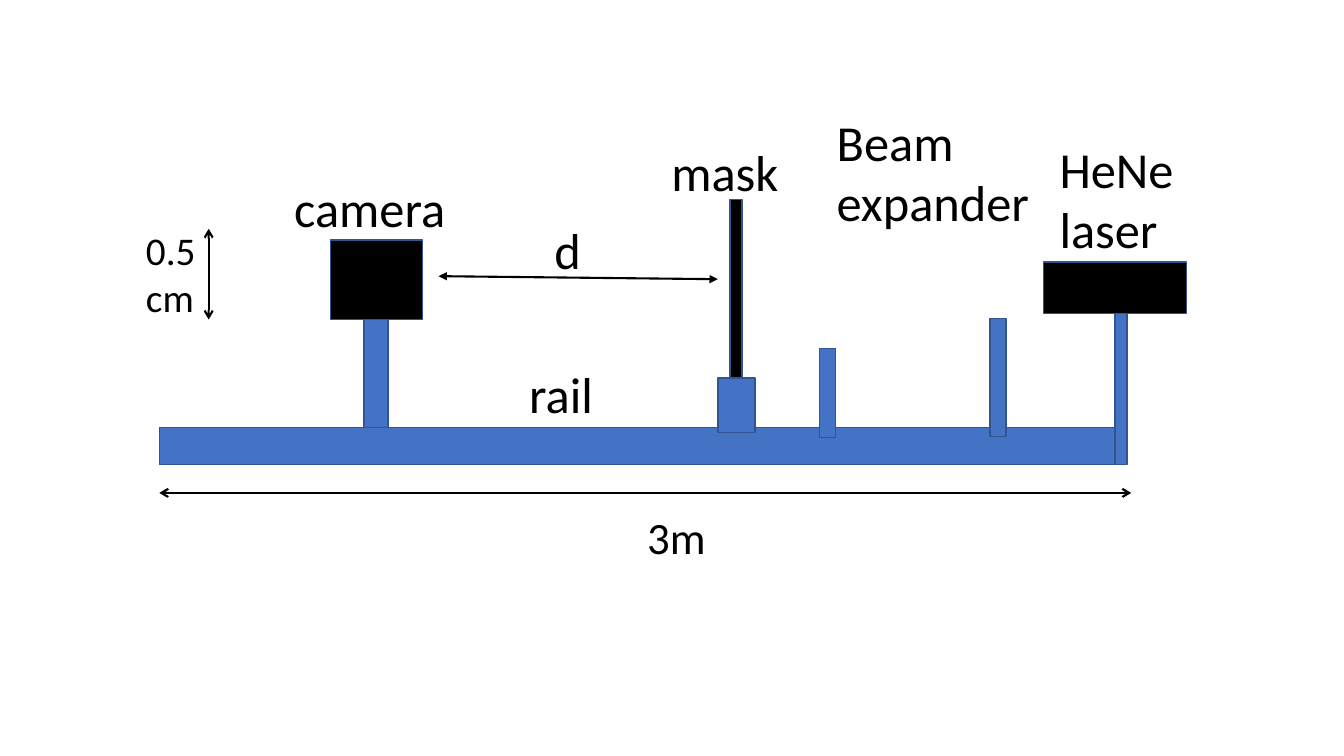
from lxml import etree
from pptx import Presentation
from pptx.dml.color import RGBColor
from pptx.enum.shapes import MSO_CONNECTOR, MSO_SHAPE
from pptx.enum.text import MSO_AUTO_SIZE
from pptx.oxml.ns import qn
from pptx.util import Inches, Pt

BLUE = RGBColor(0x44, 0x72, 0xC4)
OUTLINE = RGBColor(0x32, 0x54, 0x91)
BLACK = RGBColor(0, 0, 0)

PARTS = {
    "rail": (1.58, 4.24, 9.48, 0.37, BLUE),
    "laser": (10.35, 2.6, 1.42, 0.51, BLACK),
    "laser post": (11.06, 3.11, 0.12, 1.5, BLUE),
    "large lens": (9.82, 3.16, 0.16, 1.17, BLUE),
    "small lens": (8.13, 3.46, 0.16, 0.88, BLUE),
    "mask": (7.24, 1.98, 0.12, 1.77, BLACK),
    "mask holder": (7.12, 3.75, 0.37, 0.54, BLUE),
    "camera": (3.28, 2.38, 0.91, 0.79, BLACK),
    "camera post": (3.61, 3.17, 0.24, 1.07, BLUE),
}

LABELS = [
    ("rail", 5.15, 3.55, 1.09, 0.71, 36),
    ("HeNe laser", 10.41, 1.32, 1.61, 1.31, 36),
    ("Beam expander", 8.2, 1.05, 2.18, 1.31, 36),
    ("mask", 6.56, 1.35, 1.48, 0.71, 36),
    ("camera", 2.82, 1.71, 1.83, 0.71, 36),
    ("3m", 6.32, 5.01, 0.8, 0.64, 32),
    ("0.5 cm", 1.35, 2.2, 1.17, 1.04, 28),
    ("d", 5.4, 2.12, 0.29, 0.71, 36),
]

DIMENSIONS = {
    "rail length": (1.58, 4.89, 11.22, 4.89, "arrow"),
    "camera height": (2.07, 2.27, 2.07, 3.17, "arrow"),
    "camera to mask": (4.35, 2.74, 7.12, 2.77, "triangle"),
}


def add_part(slide, left, top, width, height, color):
    sp = slide.shapes.add_shape(
        MSO_SHAPE.RECTANGLE, Inches(left), Inches(top), Inches(width), Inches(height)
    )
    sp.shadow.inherit = False
    sp.fill.solid()
    sp.fill.fore_color.rgb = color
    sp.line.color.rgb = OUTLINE
    sp.line.width = Pt(1)


def add_label(slide, text, left, top, width, height, size):
    box = slide.shapes.add_textbox(
        Inches(left), Inches(top), Inches(width), Inches(height)
    )
    tf = box.text_frame
    tf.word_wrap = True
    tf.auto_size = MSO_AUTO_SIZE.SHAPE_TO_FIT_TEXT
    p = tf.paragraphs[0]
    p.text = text
    p.font.name = "Calibri"
    p.font.size = Pt(size)
    p.font.color.rgb = BLACK


def add_dimension(slide, x1, y1, x2, y2, arrowhead):
    line = slide.shapes.add_connector(
        MSO_CONNECTOR.STRAIGHT, Inches(x1), Inches(y1), Inches(x2), Inches(y2)
    )
    line.line.color.rgb = BLACK
    line.line.width = Pt(1.5)
    sp_pr = line.element.spPr
    ln = sp_pr.find(qn("a:ln"))
    for end in ("a:headEnd", "a:tailEnd"):
        etree.SubElement(ln, qn(end), type=arrowhead)
    etree.SubElement(sp_pr, qn("a:effectLst"))


def main():
    prs = Presentation()
    prs.slide_width = Inches(13.33)
    prs.slide_height = Inches(7.5)
    slide = prs.slides.add_slide(prs.slide_layouts[6])
    for part in PARTS.values():
        add_part(slide, *part)
    for dimension in DIMENSIONS.values():
        add_dimension(slide, *dimension)
    for label in LABELS:
        add_label(slide, *label)
    prs.save("out.pptx")


if __name__ == "__main__":
    main()
